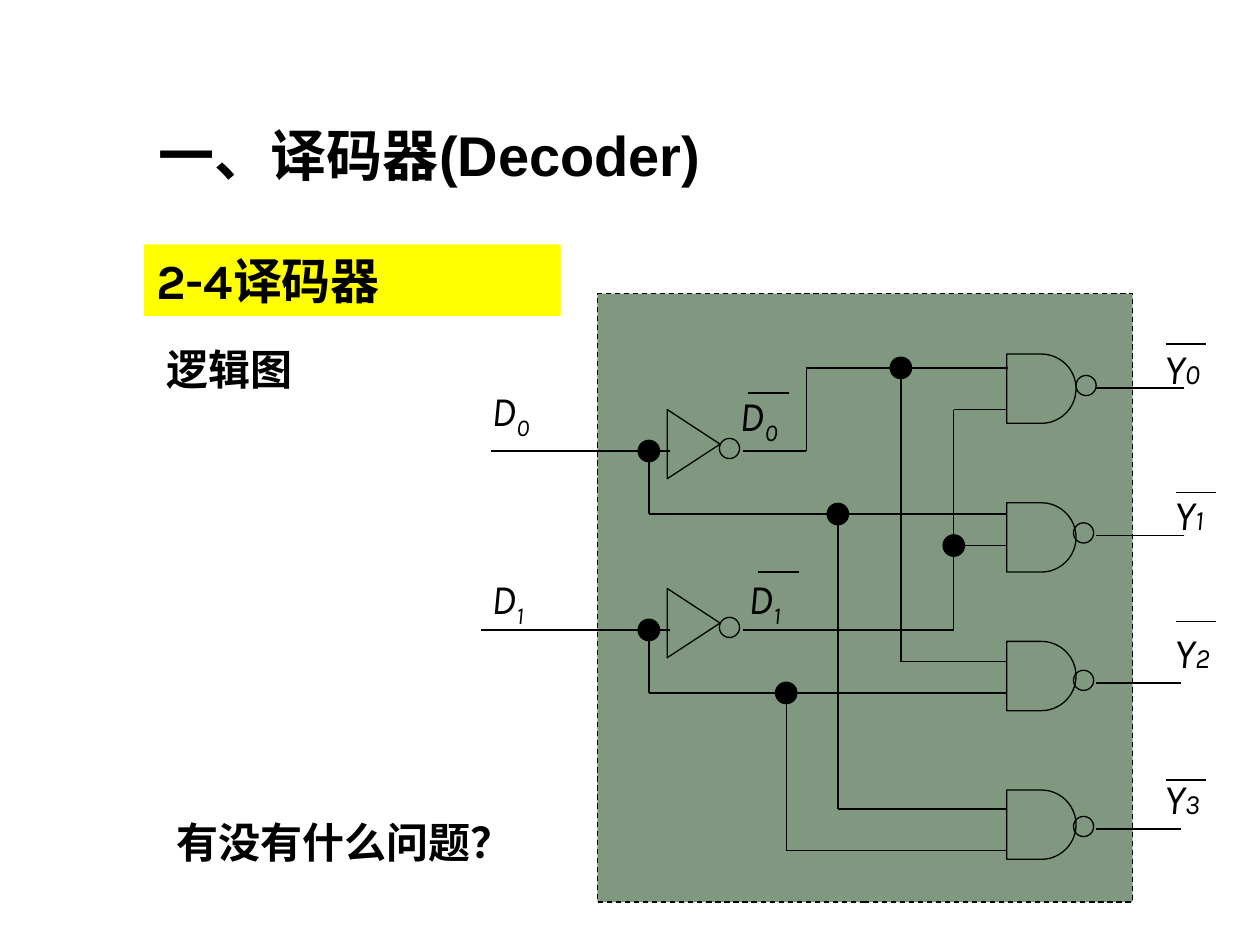
from itertools import pairwise

from lxml import etree
from pptx import Presentation
from pptx.dml.color import RGBColor
from pptx.enum.dml import MSO_LINE
from pptx.enum.shapes import MSO_CONNECTOR, MSO_SHAPE
from pptx.enum.text import MSO_ANCHOR, PP_ALIGN
from pptx.oxml.ns import qn
from pptx.util import Inches, Pt

COLORS = {"ink": "000000", "highlight": "FFFF00", "circuit": "003300"}
TITLE = "一、译码器(Decoder)"
HEADING = ("2-4译码器", 1.14, 1.94, 3.31, 0.57, 28)
CAPTIONS = [
    ("逻辑图", 1.22, 2.68, 1.92, 0.5, 24),
    ("有没有什么问题？", 1.3, 6.43, 2.92, 0.5, 24),
]

# Wires as corner points
WIRES = [
    [(3.9, 3.58), (5.32, 3.58)],
    [(3.82, 5), (5.32, 5)],
    [(5.9, 3.58), (6.4, 3.58), (6.4, 2.92), (8, 2.92)],
    [(5.9, 5), (7.57, 5), (7.57, 3.25), (7.99, 3.25)],
    [(5.15, 3.58), (5.15, 4.08), (7.99, 4.08)],
    [(5.15, 5), (5.15, 5.5), (7.99, 5.5)],
    [(7.15, 2.92), (7.15, 5.25), (7.99, 5.25)],
    [(7.57, 4.33), (7.99, 4.33)],
    [(6.65, 4.08), (6.65, 6.42), (7.99, 6.42)],
    [(6.24, 5.5), (6.24, 6.75), (7.99, 6.75)],
]
JUNCTIONS = [(5.15, 3.58), (5.15, 5), (7.15, 2.92),
             (7.57, 4.33), (6.65, 4.08), (6.24, 5.5)]
INVERTER_TOPS = [3.25, 4.67]
# Gate top, bubble left, output wire y, output wire end
GATES = [
    (2.81, 8.54, 3.08, 9.4),
    (3.99, 8.52, 4.25, 9.4),
    (5.09, 8.52, 5.42, 9.37),
    (6.27, 8.52, 6.58, 9.37),
]
# Subscript, left, top, width, height, vertical inset
INPUT_LABELS = [
    ("0", 3.9, 3, 0.62, 0.56, 0.05),
    ("1", 3.9, 4.54, 0.55, 0.46, 0),
    ("0", 5.87, 3.04, 0.62, 0.56, 0.05),
    ("1", 5.94, 4.54, 0.55, 0.46, 0),
]
OUTPUT_LABELS = [("0", 9.24, 2.67), ("1", 9.32, 3.83),
                 ("2", 9.32, 4.92), ("3", 9.24, 6.08)]
OVERBARS = [(5.94, 3.12), (6.02, 4.54), (9.25, 2.73),
            (9.33, 3.91), (9.33, 4.93), (9.25, 6.19)]
OVERBAR_WIDTH = 0.32
GATE_SIZE = 0.55
INVERTER_DEPTH = 0.42
BUBBLE = 0.16
DOT = 0.17

deck = Presentation()
deck.slide_width, deck.slide_height = Inches(10), Inches(7.5)
page = deck.slides.add_slide(deck.slide_layouts[5])


def color(name):
    return RGBColor.from_string(COLORS[name])


def place(box, *bounds):
    box.left, box.top, box.width, box.height = map(Inches, bounds)


def add_outline(kind, left, top, width, height, fill=None):
    shape = page.shapes.add_shape(kind, *map(Inches, (left, top, width, height)))
    shape.shadow.inherit = False
    shape.line.color.rgb = color("ink")
    shape.line.width = Pt(0.75)
    if fill:
        shape.fill.solid()
        shape.fill.fore_color.rgb = color(fill)
    else:
        shape.fill.background()
    return shape


def add_wire(start, end):
    wire = page.shapes.add_connector(MSO_CONNECTOR.STRAIGHT, *map(Inches, start + end))
    wire.line.color.rgb = color("ink")
    wire.line.width = Pt(0.75)
    etree.SubElement(wire._element.spPr, qn("a:effectLst"))


def write(box, text, size, font="Karla"):
    frame = box.text_frame
    frame.word_wrap = True
    frame.vertical_anchor = MSO_ANCHOR.TOP
    para = frame.paragraphs[0]
    para.text = text
    para.alignment = PP_ALIGN.LEFT
    para.font.name, para.font.size, para.font.bold = font, Pt(size), True
    para.font.color.rgb = color("ink")


def add_label(letter, index, bounds, inset):
    """Add an italic signal name and return the span of its index."""
    box = page.shapes.add_textbox(*map(Inches, bounds))
    frame = box.text_frame
    frame.word_wrap = True
    frame.margin_left = frame.margin_right = 0
    frame.margin_top = frame.margin_bottom = Inches(inset)
    para = frame.paragraphs[0]
    para.font.name, para.font.size, para.font.italic = "Karla", Pt(24), True
    para.font.color.rgb = color("ink")
    para.add_run().text = letter
    span = para.add_run()
    span.text = index
    return span


title = page.shapes.title
place(title, 1.16, 0.91, 4.61, 0.64)
write(title, TITLE, 32, "Arial")
title.text_frame.word_wrap = False

text, *bounds, size = HEADING
heading = add_outline(MSO_SHAPE.RECTANGLE, *bounds, fill="highlight")
heading.line.fill.background()
write(heading, text, size)
for text, *bounds, size in CAPTIONS:
    write(page.shapes.add_textbox(*map(Inches, bounds)), text, size)

circuit = add_outline(MSO_SHAPE.RECTANGLE, 4.74, 2.33, 4.25, 4.83, "circuit")
circuit.line.dash_style = MSO_LINE.DASH
fill_color = circuit._element.spPr.find(qn("a:solidFill"))[0]
etree.SubElement(fill_color, qn("a:alpha"), val="50000")

for points in WIRES:
    for start, end in pairwise(points):
        add_wire(start, end)
for x, y in JUNCTIONS:
    add_outline(MSO_SHAPE.OVAL, x - DOT / 2, y - DOT / 2, DOT, DOT, "ink")

for top in INVERTER_TOPS:
    # A quarter turn about the centre makes the triangle point right
    shift = (GATE_SIZE - INVERTER_DEPTH) / 2
    inverter = add_outline(MSO_SHAPE.ISOSCELES_TRIANGLE, 5.23, top + shift,
                           GATE_SIZE, INVERTER_DEPTH)
    inverter.rotation = 90
    add_outline(MSO_SHAPE.OVAL, 5.71, top + 0.23, BUBBLE, BUBBLE)

for top, bubble_left, wire_y, wire_end in GATES:
    add_outline(MSO_SHAPE.FLOWCHART_DELAY, 7.99, top, GATE_SIZE, GATE_SIZE)
    add_outline(MSO_SHAPE.OVAL, bubble_left, wire_y - 0.1, BUBBLE, BUBBLE)
    add_wire((8.7, wire_y), (wire_end, wire_y))

for index, *bounds, inset in INPUT_LABELS:
    span = add_label("D", index, bounds, inset)
    span.font._element.set("baseline", "-25000")
for index, left, top in OUTPUT_LABELS:
    span = add_label("Y", index, (left, top, 0.5, 0.5), 0.05)
    span.font.size = Pt(16)
for x, y in OVERBARS:
    add_wire((x, y), (x + OVERBAR_WIDTH, y))

deck.save("out.pptx")
